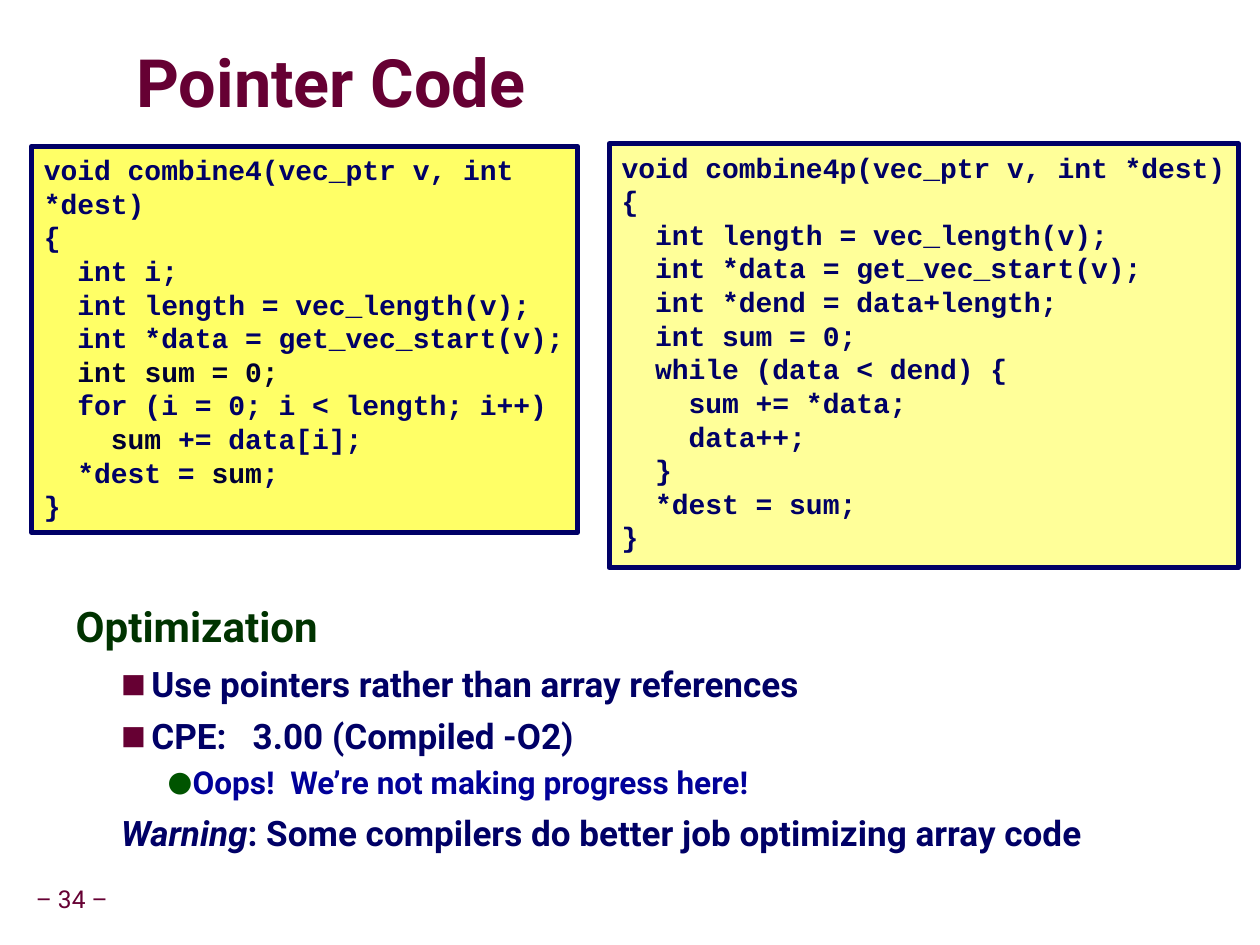
"""Build the Pointer Code slide: two code boxes above a list of findings."""
from lxml import etree
from pptx import Presentation
from pptx.dml.color import RGBColor
from pptx.enum.shapes import MSO_SHAPE
from pptx.enum.text import MSO_ANCHOR, MSO_AUTO_SIZE, PP_ALIGN
from pptx.oxml.ns import qn
from pptx.util import Inches, Pt

RECT = MSO_SHAPE.RECTANGLE
TOP, MIDDLE = MSO_ANCHOR.TOP, MSO_ANCHOR.MIDDLE
FIXED = MSO_AUTO_SIZE.NONE
LEFT, CENTER = PP_ALIGN.LEFT, PP_ALIGN.CENTER

SANS, MONO = "Roboto", "Courier New"
COLORS = {
    "wine": "660033", "navy": "000066", "dark": "000033", "blue": "000099",
    "forest": "003300", "green": "005400", "pale": "FFFF99",
    "yellow": "FFFF66", "black": "000000",
}

TITLE = "Pointer Code"
NUMBER = "– 34 –"

# Text between bars takes the accent style.
ARRAY = """void combine4(vec_ptr v, int *dest)
{
  int i;
  int length = vec_length(v);
  int *data = get_vec_start(v);
  |int sum = 0;|
  for (i = 0; i < length; i++)
    |sum |+= data[i];
  *dest = |sum|;
}"""
POINTER = """void combine4p(vec_ptr v, int *dest)
{
  int length = vec_length(v);
  int *data = get_vec_start(v);
  int *dend = data+length;
  int sum = 0;
  while (data < dend) {
    sum += *data;
    data++;
  }
  *dest = sum;
}"""
BOXES = [
    (POINTER, "pale", (4.83, 1.14, 4.99, 3.36)),
    (ARRAY, "yellow", (0.25, 1.16, 4.33, 3.06)),
]

HEAD = dict(level=0, size=24, ink="forest", left=0.24, hang=0.24,
            lines=0.95, before=0, mark=None)
ITEM = dict(level=1, size=20, ink="navy", left=0.6, hang=0.24,
            lines=1.0, before=5.8, mark=("■", "wine", 75))
SUB = dict(level=2, size=18, ink="blue", left=0.91, hang=0.18,
           lines=1.07, before=2.1, mark=("●", "green", 90))
NOTE = {**ITEM, "mark": None}
POINTS = [
    (HEAD, "Optimization"),
    (ITEM, "Use pointers rather than array references"),
    (ITEM, "CPE:   3.00 (Compiled -O2)"),
    (SUB, "Oops!  We’re not making progress here!"),
    (NOTE, "|Warning|: Some compilers do better job optimizing array code"),
]


def color(name):
    return RGBColor.from_string(COLORS[name])


def place(shape, area):
    shape.left, shape.top, shape.width, shape.height = map(Inches, area)


def setup(frame, pads, anchor, wrap=True):
    frame.auto_size = FIXED
    frame.word_wrap = wrap
    frame.vertical_anchor = anchor
    frame.margin_left = frame.margin_right = Inches(pads[0])
    frame.margin_top = frame.margin_bottom = Inches(pads[1])


def write(para, text, face, size, ink, bold=True, italic=False):
    run = para.add_run()
    run.text = text
    font = run.font
    font.name, font.size = face, Pt(size)
    font.bold, font.italic = bold, italic
    font.color.rgb = color(ink)
    return run


def split(text):
    return [(part, i % 2 == 1) for i, part in enumerate(text.split("|")) if part]


def node(parent, tag, **attrs):
    return etree.SubElement(parent, qn(tag), attrs)


def bullet(para, mark):
    props = para._p.get_or_add_pPr()
    if mark is None:
        node(props, "a:buNone")
        return
    char, ink, size = mark
    node(node(props, "a:buClr"), "a:srgbClr", val=COLORS[ink])
    node(props, "a:buSzPct", val=str(size * 1000))
    node(props, "a:buFont", typeface=SANS)
    node(props, "a:buChar", char=char)


def shade(run):
    fill = run._r.get_or_add_rPr().find(qn("a:solidFill"))
    effects = etree.Element(qn("a:effectLst"))
    drop = node(effects, "a:outerShdw", blurRad="38100", dist="38100",
                dir="2700000", algn="tl")
    tone = node(drop, "a:srgbClr", val=COLORS["black"])
    node(tone, "a:alpha", val="43000")
    fill.addnext(effects)


def add_title(slide):
    title = slide.shapes.title
    place(title, (1.08, 0.37, 5.56, 0.63))
    setup(title.text_frame, (0, 0), MIDDLE)
    para = title.text_frame.paragraphs[0]
    para.alignment, para.line_spacing = LEFT, 0.87
    shade(write(para, TITLE, SANS, 38, "wine"))


def add_points(slide):
    body = slide.placeholders[1]
    place(body, (0.5, 4.74, 9.07, 2.16))
    frame = body.text_frame
    setup(frame, (0.1, 0.05), TOP)
    for i, (look, text) in enumerate(POINTS):
        para = frame.add_paragraph() if i else frame.paragraphs[0]
        para.level = look["level"]
        bullet(para, look["mark"])
        props = para._p.get_or_add_pPr()
        props.set("marL", str(Inches(look["left"])))
        props.set("indent", str(-Inches(look["hang"])))
        para.line_spacing = look["lines"]
        para.space_before = Pt(look["before"])
        for part, accent in split(text):
            write(para, part, SANS, look["size"], look["ink"], italic=accent)


def add_code(slide, code, fill, area):
    box = slide.shapes.add_shape(RECT, *map(Inches, area))
    box.shadow.inherit = False
    box.fill.solid()
    box.fill.fore_color.rgb = color(fill)
    box.line.color.rgb = color("navy")
    box.line.width = Pt(3)
    frame = box.text_frame
    setup(frame, (0.1, 0.05), TOP)
    for i, line in enumerate(code.splitlines()):
        para = frame.add_paragraph() if i else frame.paragraphs[0]
        para.alignment = LEFT
        for part, accent in split(line):
            write(para, part, MONO, 16, "dark" if accent else "navy")


def add_number(slide):
    box = slide.shapes.add_textbox(*map(Inches, (0.23, 6.98, 0.68, 0.32)))
    setup(box.text_frame, (0.05, 0.05), MIDDLE, wrap=False)
    para = box.text_frame.paragraphs[0]
    para.alignment, para.line_spacing = CENTER, 0.9
    write(para, NUMBER, SANS, 14, "wine", bold=False)


def main():
    deck = Presentation()
    deck.slide_width, deck.slide_height = Inches(9.99), Inches(7.49)
    slide = deck.slides.add_slide(deck.slide_layouts[1])
    add_title(slide)
    add_points(slide)
    for box in BOXES:
        add_code(slide, *box)
    add_number(slide)
    deck.save("out.pptx")


if __name__ == "__main__":
    main()
